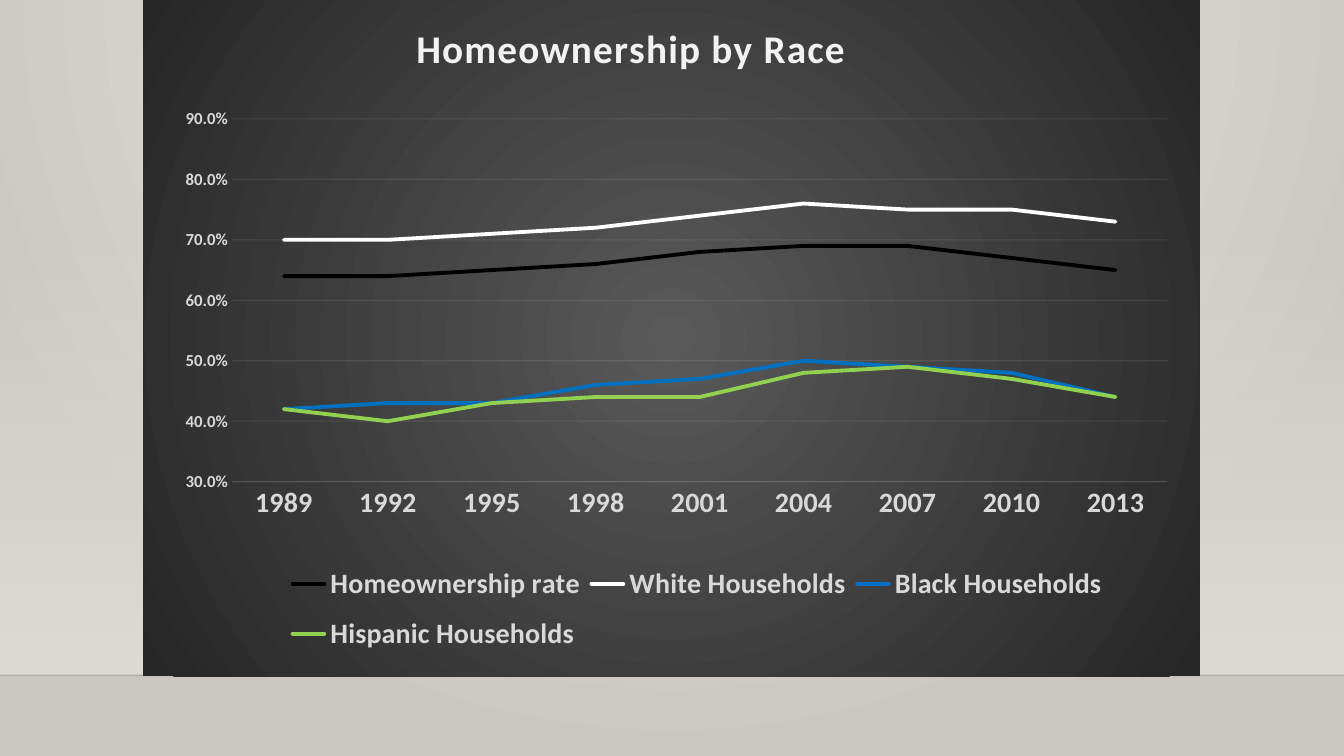
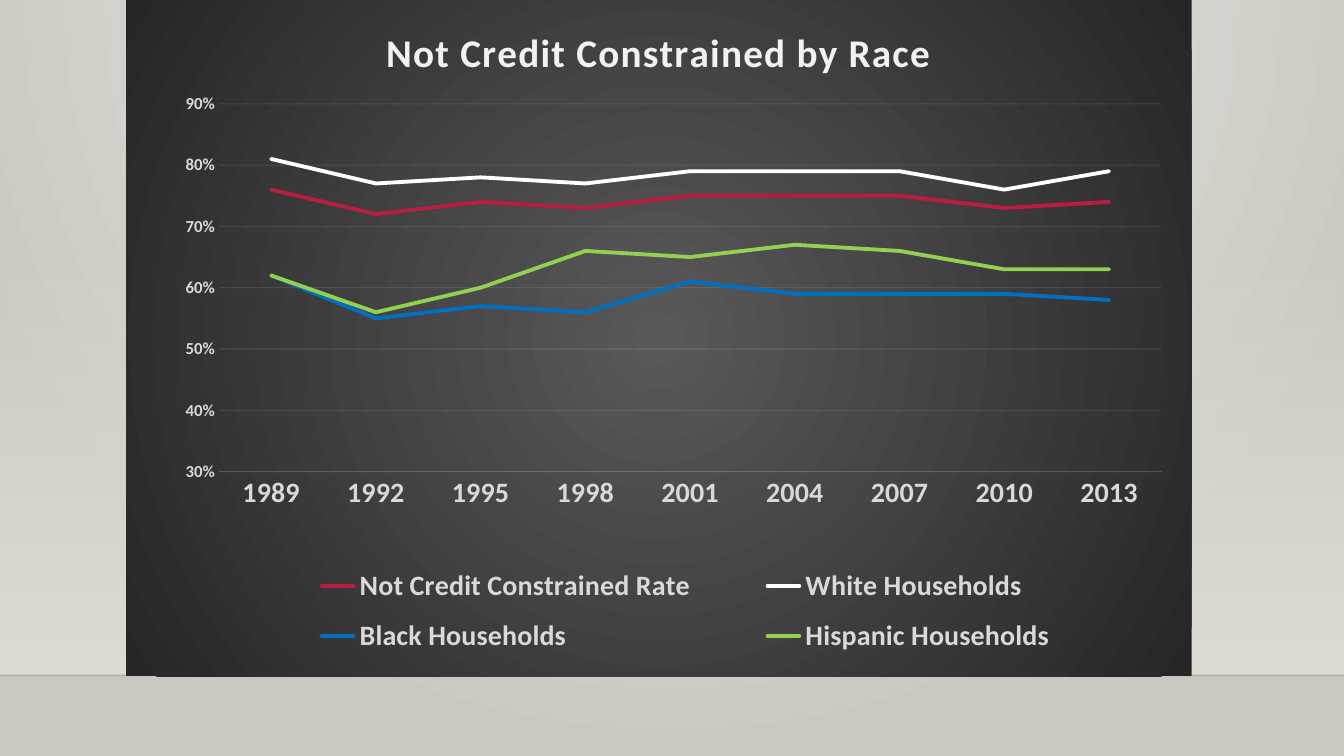
import pptx
import pptx.chart.data
import pptx.dml.color
import pptx.enum.chart
import pptx.enum.shapes
import pptx.oxml
import pptx.util
from lxml import etree
from pptx.oxml.ns import qn
from pptx.util import Inches

FONT = "Calibri"
COLORS = {
    "wall_light": "ECEAE7", "wall_dark": "CAC7C1", "band": "DFDBD5", "floor": "000001",
    "panel_light": "595959", "panel_dark": "262626",
    "title": "F2F2F2", "label": "D9D9D9", "grid": "F2F2F2",
    "black": "000000", "white": "FFFFFF", "blue": "0070C0", "green": "92D050", "red": "B71E42",
}
FLOOR_TOP = 6.7
YEARS = ["1989", "1992", "1995", "1998", "2001", "2004", "2007", "2010", "2013"]

# Places are left, top, width, height in inches; those of chart parts count from the panel.
CHARTS = [
    {
        "title": "Homeownership by Race",
        "panel": (1.42, 0, 10.48, 6.71),
        "number_format": "0.0%",
        "title_at": (2.64, 0.15),
        "plot_at": (0.88, 1.18, 9.28, 3.6),
        "legend_at": (1.37, 5.47, 8.25, 1.14),
        "series": [
            ("Homeownership rate", "black", (0.64, 0.64, 0.65, 0.66, 0.68, 0.69, 0.69, 0.67, 0.65)),
            ("White Households", "white", (0.7, 0.7, 0.71, 0.72, 0.74, 0.76, 0.75, 0.75, 0.73)),
            ("Black Households", "blue", (0.42, 0.43, 0.43, 0.46, 0.47, 0.5, 0.49, 0.48, 0.44)),
            ("Hispanic Households", "green", (0.42, 0.4, 0.43, 0.44, 0.44, 0.48, 0.49, 0.47, 0.44)),
        ],
    },
    {
        "title": "Not Credit Constrained by Race",
        "panel": (1.25, 0, 10.57, 6.71),
        "number_format": "0%",
        "title_at": (2.51, 0.19),
        "plot_at": (0.92, 1.03, 9.35, 3.65),
        "legend_at": (1.27, 5.49, 8.56, 1.14),
        "series": [
            ("Not Credit Constrained Rate", "red",
             (0.76, 0.72, 0.74, 0.73, 0.75, 0.75, 0.75, 0.73, 0.74)),
            ("White Households", "white", (0.81, 0.77, 0.78, 0.77, 0.79, 0.79, 0.79, 0.76, 0.79)),
            ("Black Households", "blue", (0.62, 0.55, 0.57, 0.56, 0.61, 0.59, 0.59, 0.59, 0.58)),
            ("Hispanic Households", "green", (0.62, 0.56, 0.6, 0.66, 0.65, 0.67, 0.66, 0.63, 0.63)),
        ],
    },
]


def rgb(name):
    return pptx.dml.color.RGBColor.from_string(COLORS[name])


def set_all(target, values):
    for attribute, value in values.items():
        setattr(target, attribute, value)


def style_font(font, size, color="label"):
    set_all(font, {"name": FONT, "size": pptx.util.Pt(size), "bold": True})
    font.color.rgb = rgb(color)


def style_line(line, color, width):
    line.color.rgb = rgb(color)
    line.width = pptx.util.Pt(width)


def set_alpha(root, route, percent):
    """Give every colour found under root by route the opacity percent."""
    for color in root.iterfind(route, pptx.oxml.ns.namespaces("a", "c")):
        etree.SubElement(color, qn("a:alpha")).set("val", str(percent * 1000))


def gradient(first, last, focus=None, first_alpha=100):
    """Build a gradient fill: circular around focus (l, t, r, b), else top to bottom."""
    fill = pptx.oxml.parse_xml(
        '<a:gradFill xmlns:a="http://schemas.openxmlformats.org/drawingml/2006/main"'
        ' rotWithShape="1"><a:gsLst/></a:gradFill>')
    for position, color, alpha in ((0, first, first_alpha), (100, last, 100)):
        stop = etree.SubElement(fill[0], qn("a:gs"), pos=str(position * 1000))
        shade = etree.SubElement(stop, qn("a:srgbClr"), val=COLORS[color])
        if alpha < 100:
            etree.SubElement(shade, qn("a:alpha"), val=str(alpha * 1000))
    if focus:
        circle = etree.SubElement(fill, qn("a:path"), {"path": "circle"})
        edges = {side: str(value * 1000) for side, value in zip("ltrb", focus)}
        etree.SubElement(circle, qn("a:fillToRect"), edges)
    else:
        etree.SubElement(fill, qn("a:lin"), ang="5400000", scaled="0")
    return fill


def swap_gradient(owner, root, fill):
    owner.fill.gradient()
    old = next(root.iter(qn("a:gradFill")))
    old.getparent().replace(old, fill)


def place(part, index, inches, panel, inner=False):
    """Fix the position, and size if given, of a chart part within its panel."""
    for old in part.findall(qn("c:layout")):
        part.remove(old)
    layout = etree.Element(qn("c:layout"))
    manual = etree.SubElement(layout, qn("c:manualLayout"))
    settings = [("layoutTarget", "inner")] if inner else []
    settings += [("xMode", "edge"), ("yMode", "edge")]
    width, height = panel[2:]
    settings += [(tag, length / whole)
                 for tag, length, whole in zip("xywh", inches, (width, height) * 2)]
    for tag, value in settings:
        etree.SubElement(manual, qn("c:" + tag)).set("val", str(value))
    part.insert(index, layout)


def add_room(slide, width):
    """Draw the wall band and the floor line."""
    band = slide.shapes.add_shape(
        pptx.enum.shapes.MSO_SHAPE.RECTANGLE, 0, Inches(2.21), width, Inches(FLOOR_TOP - 2.21))
    band.shadow.inherit = False
    band.line.fill.background()
    swap_gradient(band, band.element, gradient("band", "band", first_alpha=0))
    floor = slide.shapes.add_connector(
        pptx.enum.shapes.MSO_CONNECTOR.STRAIGHT, 0, Inches(FLOOR_TOP), width, Inches(FLOOR_TOP))
    style_line(floor.line, "floor", 1)
    set_alpha(floor.element, ".//a:ln//a:srgbClr", 20)
    etree.SubElement(floor.element.spPr, qn("a:effectLst"))


def style_axes(chart, number_format):
    none = pptx.enum.chart.XL_TICK_MARK.NONE
    years, rates = chart.category_axis, chart.value_axis
    for axis, size in ((years, 20), (rates, 12)):
        set_all(axis, {"major_tick_mark": none, "minor_tick_mark": none})
        style_font(axis.tick_labels.font, size)
    style_line(years.format.line, "grid", 0.75)
    set_all(rates, {"minimum_scale": 0.3, "maximum_scale": 0.9, "major_unit": 0.1,
                    "has_major_gridlines": True})
    set_all(rates.tick_labels, {"number_format": number_format, "number_format_is_linked": False})
    rates.format.line.fill.background()
    style_line(rates.major_gridlines.format.line, "grid", 0.75)
    for route in (".//c:catAx/c:spPr//a:srgbClr", ".//c:majorGridlines//a:srgbClr"):
        set_alpha(chart.element, route, 10)


def add_race_chart(slide, content):
    data = pptx.chart.data.CategoryChartData(number_format=content["number_format"])
    data.categories = YEARS
    for name, _, values in content["series"]:
        data.add_series(name, values)
    chart = slide.shapes.add_chart(
        pptx.enum.chart.XL_CHART_TYPE.LINE, *map(Inches, content["panel"]), data).chart
    set_all(chart.font, {"name": FONT, "size": pptx.util.Pt(10)})
    set_all(chart, {"has_title": True, "has_legend": True})
    root = chart.element

    panel = etree.Element(qn("c:spPr"))
    panel.append(gradient("panel_light", "panel_dark", (50, 50, 50, 50)))
    etree.SubElement(etree.SubElement(panel, qn("a:ln")), qn("a:noFill"))
    root.find(qn("c:chart")).addnext(panel)

    heading = chart.chart_title.text_frame.paragraphs[0].add_run()
    heading.text = content["title"]
    style_font(heading.font, 28, "title")
    next(root.iter(qn("a:r"))).find(qn("a:rPr")).set("spc", "100")

    set_all(chart.legend, {"position": pptx.enum.chart.XL_LEGEND_POSITION.BOTTOM,
                           "include_in_layout": False})
    style_font(chart.legend.font, 20)
    style_axes(chart, content["number_format"])

    plot = chart.plots[0]
    plot.vary_by_categories = False
    for series, (_, color, _) in zip(plot.series, content["series"]):
        series.smooth = False
        style_line(series.format.line, color, 2.75)
    for stroke in root.iterfind(".//" + qn("c:ser") + "//" + qn("a:ln")):
        stroke.set("cap", "rnd")

    for tag, index, key in (("c:title", 1, "title_at"), ("c:plotArea", 0, "plot_at"),
                            ("c:legend", 1, "legend_at")):
        place(next(root.iter(qn(tag))), index, content[key], content["panel"],
              inner=tag == "c:plotArea")


def main():
    deck = pptx.Presentation()
    set_all(deck, {"slide_width": Inches(13.33), "slide_height": Inches(7.5)})
    master = deck.slide_master
    swap_gradient(master.background, master.element,
                  gradient("wall_light", "wall_dark", (43, 0, 43, 100)))
    for content in CHARTS:
        slide = deck.slides.add_slide(deck.slide_layouts[6])
        add_room(slide, deck.slide_width)
        add_race_chart(slide, content)
    deck.save("out.pptx")


if __name__ == "__main__":
    main()
